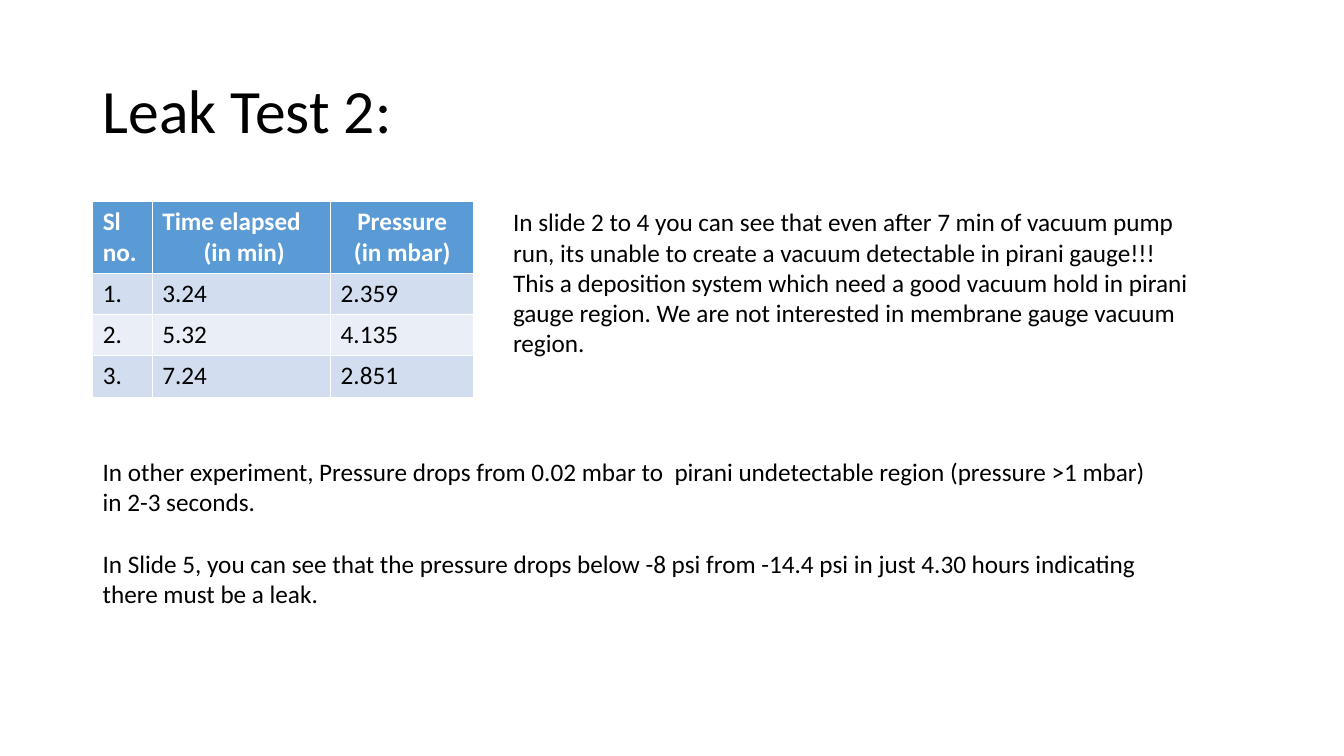
from pptx import Presentation
from pptx.dml.color import RGBColor
from pptx.enum import text
from pptx.util import Inches, Pt

COLORS = {
    "ink": "000000",
    "header_text": "FFFFFF",
    "header": "5B9BD5",
    "odd_row": "D2DEEF",
    "even_row": "EAEFF7",
}
LEFT, CENTER = text.PP_ALIGN.LEFT, text.PP_ALIGN.CENTER


def write_paragraphs(frame, lines, size=18, color="ink", bold=False, **paragraph_format):
    """Fill a text frame with one paragraph per (wording, alignment) pair."""
    font_format = {"name": "Calibri", "size": Pt(size), "bold": bold}
    for index, (wording, alignment) in enumerate(lines):
        paragraph = frame.paragraphs[0] if index == 0 else frame.add_paragraph()
        paragraph.alignment = alignment
        for name, value in paragraph_format.items():
            # Space before applies between paragraphs only
            if name != "space_before" or index > 0:
                setattr(paragraph, name, value)
        run = paragraph.add_run()
        run.text = wording
        for name, value in font_format.items():
            setattr(run.font, name, value)
        run.font.color.rgb = RGBColor.from_string(COLORS[color])


presentation = Presentation()
presentation.slide_width = Inches(13.33)
presentation.slide_height = Inches(7.5)
slide = presentation.slides.add_slide(presentation.slide_layouts[5])

# Title
title = slide.shapes.title
title.left, title.top = Inches(0.92), Inches(0.4)
title.width, title.height = Inches(11.5), Inches(1.45)
title.text_frame.auto_size = text.MSO_AUTO_SIZE.NONE
title.text_frame.vertical_anchor = text.MSO_ANCHOR.MIDDLE
write_paragraphs(title.text_frame, [("Leak Test 2:", LEFT)], size=44, line_spacing=0.9)

# Pressure readings
headings = [
    [("Sl no.", LEFT)],
    [("Time elapsed", LEFT), (" (in min)", CENTER)],
    [("Pressure", CENTER), ("(in mbar)", CENTER)],
]
readings = [("1.", "3.24", "2.359"), ("2.", "5.32", "4.135"), ("3.", "7.24", "2.851")]
rows = [headings] + [[[(value, LEFT)] for value in reading] for reading in readings]

table = slide.shapes.add_table(
    len(rows), len(headings), Inches(0.92), Inches(2), Inches(3.78), Inches(1.92)
).table
for column, width in zip(table.columns, (0.59, 1.77, 1.42)):
    column.width = Inches(width)
for row_index, row in enumerate(rows):
    is_header = row_index == 0
    table.rows[row_index].height = Inches(0.69 if is_header else 0.41)
    fill = "header" if is_header else ("even_row", "odd_row")[row_index % 2]
    for column_index, lines in enumerate(row):
        cell = table.cell(row_index, column_index)
        cell.fill.solid()
        cell.fill.fore_color.rgb = RGBColor.from_string(COLORS[fill])
        write_paragraphs(
            cell.text_frame, lines,
            color="header_text" if is_header else "ink", bold=is_header,
        )

# Remarks: left, top, width, height, space between paragraphs, wording
remarks = [
    (4.99, 2, 7.2, 1.62, 0, [
        "In slide 2 to 4 you can see that even after 7 min of vacuum pump run, "
        "its unable to create a vacuum detectable in pirani gauge!!!",
        "This a deposition system which need a good vacuum hold in pirani gauge region. "
        "We are not interested in membrane gauge vacuum region.",
    ]),
    (0.92, 4.48, 10.63, 1.62, 22, [
        "In other experiment, Pressure drops from 0.02 mbar to  pirani undetectable region "
        "(pressure >1 mbar) in 2-3 seconds.",
        "In Slide 5, you can see that the pressure drops below -8 psi from -14.4 psi "
        "in just 4.30 hours indicating there must be a leak.",
    ]),
]
for *box, gap, sentences in remarks:
    frame = slide.shapes.add_textbox(*map(Inches, box)).text_frame
    frame.word_wrap = True
    frame.auto_size = text.MSO_AUTO_SIZE.SHAPE_TO_FIT_TEXT
    write_paragraphs(
        frame, [(sentence, LEFT) for sentence in sentences], space_before=Pt(gap)
    )

presentation.save("out.pptx")
